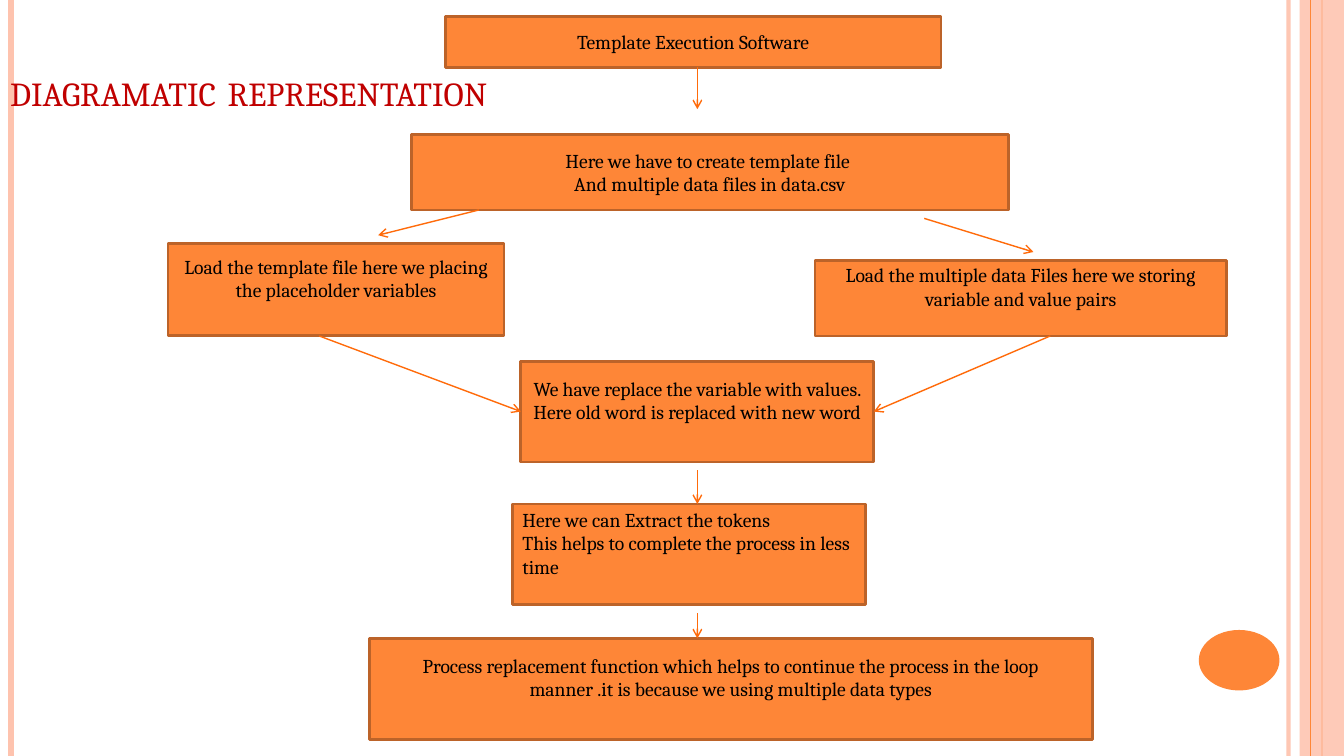
import pptx
import pptx.util
import pptx.dml.color
import pptx.enum.shapes
import pptx.enum.text
import pptx.oxml
import pptx.oxml.ns

RGBColor = pptx.dml.color.RGBColor
MSO_SHAPE = pptx.enum.shapes.MSO_SHAPE
PP_ALIGN = pptx.enum.text.PP_ALIGN
MSO_ANCHOR = pptx.enum.text.MSO_ANCHOR
Inches, Pt = pptx.util.Inches, pptx.util.Pt

ORANGE = RGBColor(0xFE, 0x86, 0x37)
BROWN = RGBColor(0xBC, 0x63, 0x29)
ARROW = RGBColor(0xFF, 0x6B, 0x0A)
PEACH = RGBColor(0xFE, 0xC3, 0xAE)
RED = RGBColor(0xC0, 0x00, 0x00)
BLACK = RGBColor(0, 0, 0)

FONT = "Cambria"
WIDTH, HEIGHT = 13.33, 7.5
CELL = 1 / 12  # grid cell of the flowchart, in inches
TEXT_INSET, RAISED_INSET = 0.05, 0.28

# name: (column, row, columns, rows), alignment, raised text, paragraphs
STEPS = {
    "create": ((49, 16, 71, 9), PP_ALIGN.CENTER, False,
               ["Here we have to create template file ",
                "And multiple data files in data.csv"]),
    "software": ((53, 2, 59, 6), PP_ALIGN.CENTER, False,
                 ["Template Execution Software"]),
    "load template": ((20, 29, 40, 11), PP_ALIGN.CENTER, True,
                      ["Load the template file here we placing the placeholder variables"]),
    "load data": ((97, 31, 49, 9), PP_ALIGN.CENTER, True,
                  ["Load the multiple data Files here we storing variable and value pairs"]),
    "replace": ((62, 43, 42, 12), PP_ALIGN.CENTER, True,
                ["We have replace the variable with values. "
                 "Here old word is replaced with new word"]),
    "extract": ((61, 60, 42, 12), PP_ALIGN.LEFT, True,
                ["Here we can Extract the tokens",
                 "This helps to complete the process in less time"]),
    "process": ((44, 76, 86, 12), PP_ALIGN.CENTER, True,
                ["Process replacement function which helps to continue the process in "
                 "the loop manner .it is because we using multiple data types"]),
}

# start cell, end cell, (step, side) joined at the end
FLOWS = [
    ((83, 8), (83, 13), None),
    ((57, 25), (45, 28), None),
    ((110, 26), (123, 30), None),
    ((38, 40), (62, 49), ("replace", 1)),
    ((125, 40), (104, 49), ("replace", 3)),
    ((83, 56), (83, 60), None),
    ((83, 73), (83, 76), None),
]


def grid(cells):
    return Inches(cells * CELL)


def set_opacity(fill_parent, percent):
    color = fill_parent.find(".//" + pptx.oxml.ns.qn("a:srgbClr"))
    alpha = pptx.oxml.parse_xml(
        f'<a:alpha {pptx.oxml.ns.nsdecls("a")} val="{percent * 1000}"/>')
    color.append(alpha)


def add_line(slide, start, end, color, width):
    line = slide.shapes.add_connector(
        pptx.enum.shapes.MSO_CONNECTOR.STRAIGHT, *start, *end)
    line.line.color.rgb = color
    line.line.width = Pt(width)
    line._element.spPr.append(
        pptx.oxml.parse_xml(f'<a:effectLst {pptx.oxml.ns.nsdecls("a")}/>'))
    return line


def add_plain_shape(slide, kind, box, color):
    shape = slide.shapes.add_shape(kind, *box)
    shape.shadow.inherit = False
    shape.fill.solid()
    shape.fill.fore_color.rgb = color
    shape.line.fill.background()
    return shape


def add_border(slide):
    """Stripes down both edges and the page-number disc."""
    def stripe(x, color, width):
        return add_line(slide, (Inches(x), 0), (Inches(x), Inches(HEIGHT)), color, width)

    inner = stripe(12.78, PEACH, 3)
    set_opacity(inner._element.spPr, 93)
    stripe(0.11, PEACH, 4.5)
    stripe(13.11, ORANGE, 1.5)
    band = add_plain_shape(slide, MSO_SHAPE.RECTANGLE,
                           (Inches(12.89), 0, Inches(0.44), Inches(HEIGHT)), PEACH)
    set_opacity(band._element.spPr, 87)
    stripe(13, ORANGE, 0.75)
    add_plain_shape(slide, MSO_SHAPE.OVAL,
                    [Inches(v) for v in (11.89, 6.25, 0.8, 0.6)], ORANGE)


def place_title(slide, box):
    title = slide.shapes.title
    title.left, title.top, title.width, title.height = [Inches(v) for v in box]
    frame = title.text_frame
    frame.text = "DIAGRAMATIC  REPRESENTATION"
    frame.auto_size = pptx.enum.text.MSO_AUTO_SIZE.NONE
    frame.vertical_anchor = MSO_ANCHOR.BOTTOM
    paragraph = frame.paragraphs[0]
    paragraph.alignment = PP_ALIGN.LEFT
    run = paragraph.runs[0]
    run.font.name, run.font.size = FONT, Pt(24)
    run.font.color.rgb = RED
    run.font._element.set("cap", "small")
    slide.shapes._spTree.append(title._element)  # in front of the border


def add_step(slide, cells, alignment, raised, paragraphs):
    step = add_plain_shape(slide, MSO_SHAPE.RECTANGLE, [grid(c) for c in cells], ORANGE)
    step.line.color.rgb = BROWN
    step.line.width = Pt(2)
    frame = step.text_frame
    frame.word_wrap = True
    frame.vertical_anchor = MSO_ANCHOR.MIDDLE
    frame.margin_top = Inches(TEXT_INSET)
    frame.margin_bottom = Inches(RAISED_INSET if raised else TEXT_INSET)
    frame.text = "\n".join(paragraphs)
    for paragraph in frame.paragraphs:
        paragraph.alignment = alignment
        font = paragraph.runs[0].font
        font.name, font.size = FONT, Pt(14)
        font.color.rgb = BLACK
    return step


def add_flowchart(slide):
    steps = {name: add_step(slide, *step) for name, step in STEPS.items()}
    for start, end, joint in FLOWS:
        arrow = add_line(slide, [grid(c) for c in start], [grid(c) for c in end], ARROW, 1)
        if joint:
            name, side = joint
            arrow.end_connect(steps[name], side)
        arrow.line._get_or_add_ln().append(pptx.oxml.parse_xml(
            f'<a:tailEnd {pptx.oxml.ns.nsdecls("a")} type="arrow"/>'))


def main():
    presentation = pptx.Presentation()
    presentation.slide_width, presentation.slide_height = Inches(WIDTH), Inches(HEIGHT)
    slide = presentation.slides.add_slide(presentation.slide_layouts[5])
    add_border(slide)
    place_title(slide, (0, 0.3, 11.39, 0.87))
    add_flowchart(slide)
    presentation.save("out.pptx")


if __name__ == "__main__":
    main()
